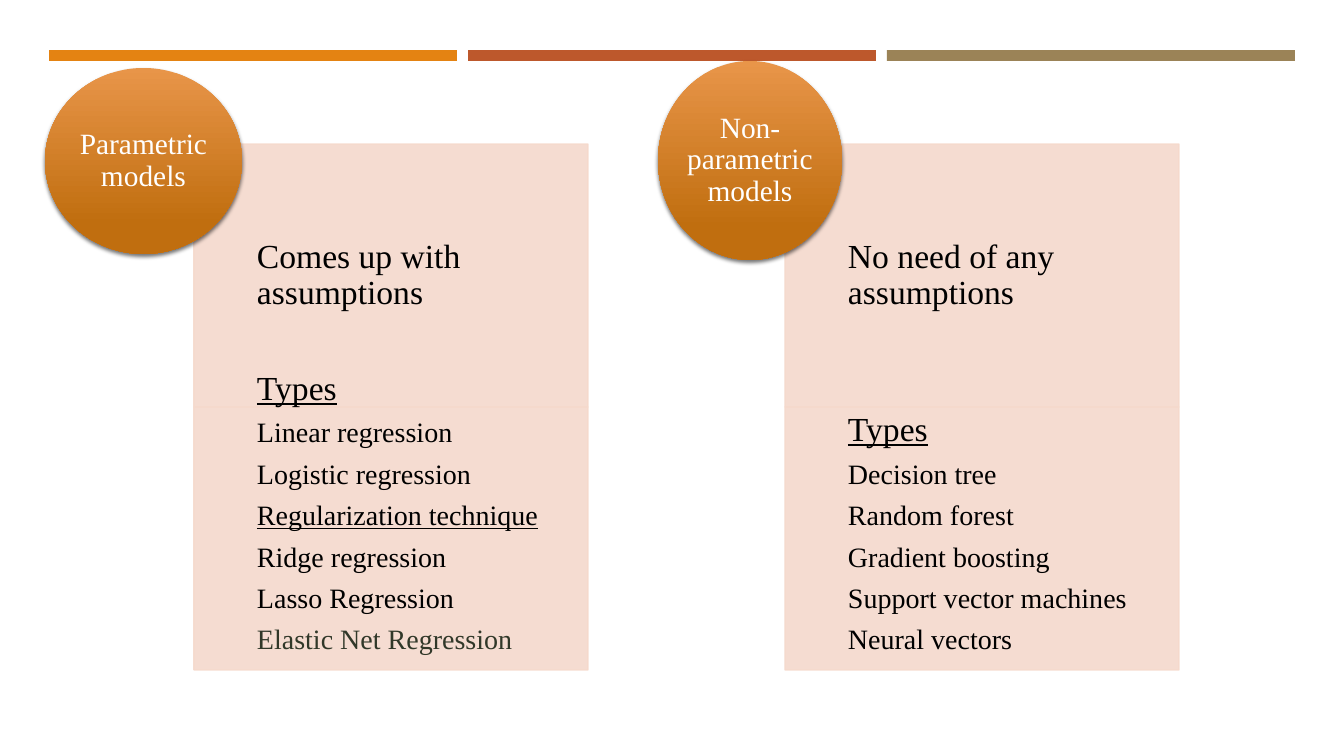
from lxml import etree
from pptx import Presentation
from pptx.dml.color import RGBColor
from pptx.enum.shapes import MSO_SHAPE
from pptx.enum.text import MSO_ANCHOR, PP_ALIGN
from pptx.oxml import parse_xml
from pptx.oxml.ns import nsdecls, qn
from pptx.util import Emu, Pt

RECT, OVAL = MSO_SHAPE.RECTANGLE, MSO_SHAPE.OVAL
MIDDLE, BOTTOM = MSO_ANCHOR.MIDDLE, MSO_ANCHOR.BOTTOM
LEFT, CENTER = PP_ALIGN.LEFT, PP_ALIGN.CENTER
SCALE = 914400 / 100.8
FONT = "Times New Roman"
BLACK, WHITE, GREEN, PINK = "000000", "FFFFFF", "313829", "F5D9CC"
BARS = ["E48312", "BD582C", "9B8357"]
BAR_W, BAR_STEP = 408, 419
PANEL_W, PANEL_H, PANEL_TOP = 394, 263, 144
INDENT, PAD = 63, 19

# panel left, circle box, circle label, claim, list of types
MODELS = [
    (194, (45, 68, 197, 186), "Parametric models",
     "Comes up with assumptions",
     ["Linear regression", "Logistic regression", "Regularization technique",
      "Ridge regression", "Lasso Regression", "Elastic Net Regression"]),
    (785, (658, 61, 184, 199), "Non- parametric models",
     "No need of any assumptions",
     ["Decision tree", "Random forest", "Gradient boosting",
      "Support vector machines", "Neural vectors"]),
]


def px(n):
    return Emu(round(n * SCALE))


def color(code):
    return RGBColor.from_string(code)


def fade(fill, alpha):
    """Set the opacity, in percent, of a solid fill element."""
    tint = fill.find(qn("a:srgbClr"))
    etree.SubElement(tint, qn("a:alpha")).set("val", str(alpha * 1000))


def add_shape(slide, kind, box):
    shape = slide.shapes.add_shape(kind, *map(px, box))
    shape.shadow.inherit = False
    shape.line.fill.background()
    return shape


def add_bar(slide, left, code):
    bar = add_shape(slide, RECT, (left, 50, BAR_W, 11))
    bar.fill.solid()
    bar.fill.fore_color.rgb = color(code)


def add_panel(slide, left, top):
    panel = add_shape(slide, RECT, (left, top, PANEL_W, PANEL_H))
    panel.line.width = Pt(1)
    for paint in (panel.fill, panel.line.fill):
        paint.solid()
        paint.fore_color.rgb = color(PINK)
    for fill in panel._element.spPr.iter(qn("a:solidFill")):
        fade(fill, 90)


def set_frame(frame, anchor=MIDDLE, pads=(0, 0, 0, 0)):
    frame.word_wrap = True
    frame.vertical_anchor = anchor
    (frame.margin_left, frame.margin_top,
     frame.margin_right, frame.margin_bottom) = map(px, pads)


def write(para, text, size=24, ink=BLACK, under=False, align=LEFT):
    para.alignment = align
    para.line_spacing = 0.9
    para.space_after = Pt(8)
    run = para.add_run()
    run.text = text
    font = run.font
    font.name, font.size, font.underline = FONT, Pt(size), under
    font.color.rgb = color(ink)


def add_box(slide, box, **format):
    frame = slide.shapes.add_textbox(*map(px, box)).text_frame
    set_frame(frame, **format)
    return frame


def add_badge(slide, box, label):
    """Draw a shaded circle with its label."""
    badge = add_shape(slide, OVAL, box)
    badge.fill.gradient()
    badge.fill.gradient_angle = 270
    stops = badge.fill.gradient_stops
    for stop, place, code in zip(stops, (0, 0.84), ("E89549", "C06E0F")):
        stop.position = place
        stop.color.rgb = color(code)
    effects = badge._element.spPr.find(qn("a:effectLst"))
    effects.append(parse_xml(
        f'<a:outerShdw {nsdecls("a")} blurRad="{Pt(3)}" dist="{Pt(2)}" '
        'dir="5400000" rotWithShape="0"><a:srgbClr val="000000">'
        '<a:alpha val="55000"/></a:srgbClr></a:outerShdw>'))
    set_frame(badge.text_frame)
    write(badge.text_frame.paragraphs[0], label, size=21, ink=WHITE, align=CENTER)


def add_model(slide, left, circle, label, claim, types):
    text_left, text_w = left + INDENT, PANEL_W - INDENT
    low = PANEL_TOP + PANEL_H
    add_panel(slide, left, PANEL_TOP)
    frame = add_box(slide, (text_left, PANEL_TOP, text_w, PANEL_H),
                    pads=(0, PAD, PAD, PAD))
    write(frame.paragraphs[0], claim)
    add_panel(slide, left, low)
    frame = add_box(slide, (text_left, low - 38, text_w, PANEL_H + 24),
                    anchor=BOTTOM, pads=(0, 0, PAD, 0))
    write(frame.paragraphs[0], "Types", under=True)
    for name in types:
        write(frame.add_paragraph(), name, size=20,
              ink=GREEN if name.startswith("Elastic") else BLACK,
              under=name.startswith("Regularization"))
    add_badge(slide, circle, label)


def main():
    deck = Presentation()
    deck.slide_width, deck.slide_height = px(1344), px(756)
    slide = deck.slides.add_slide(deck.slide_layouts[6])
    for i, code in enumerate(BARS):
        add_bar(slide, 49 + i * BAR_STEP, code)
    for model in MODELS:
        add_model(slide, *model)
    deck.save("out.pptx")


if __name__ == "__main__":
    main()
